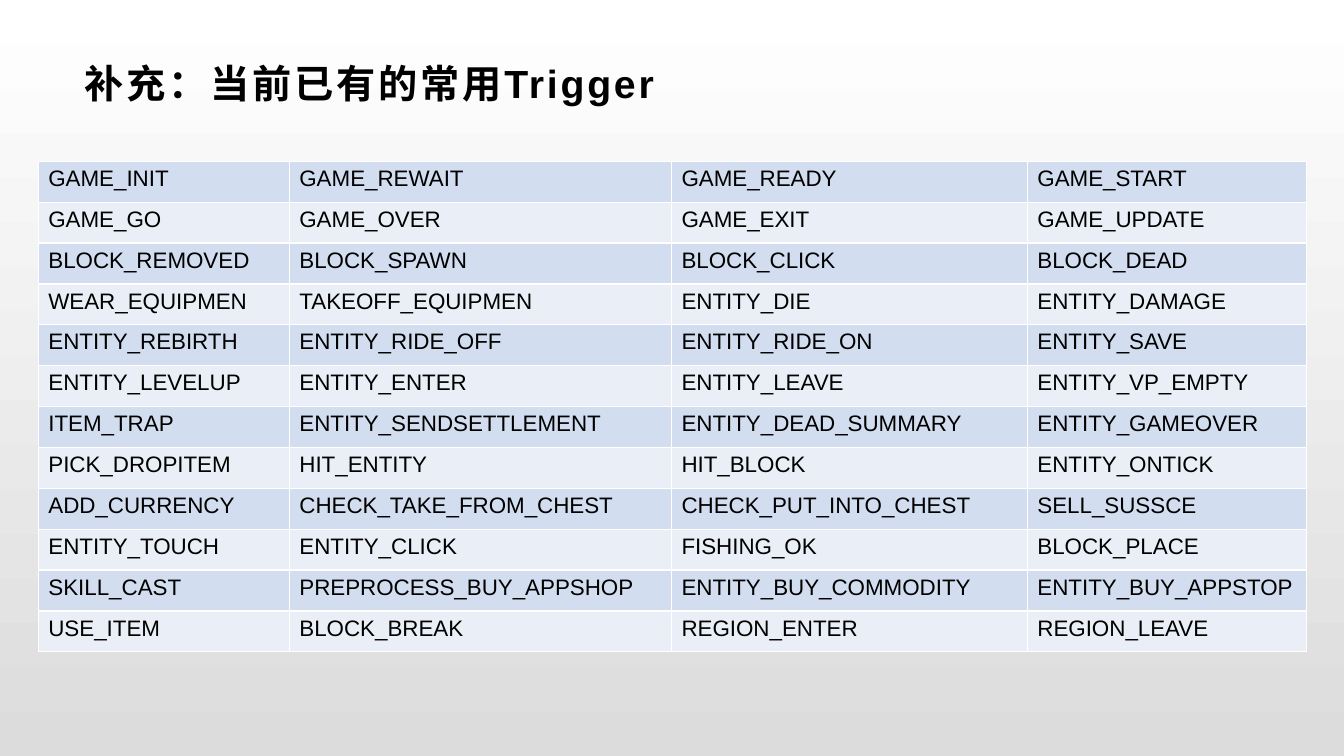
from lxml import etree
from pptx import Presentation
from pptx.dml.color import RGBColor
from pptx.enum.text import MSO_ANCHOR
from pptx.oxml.ns import qn
from pptx.util import Inches, Pt

MIDDLE = MSO_ANCHOR.MIDDLE
FONT = "Arial"
BLACK, WHITE, GREY = "000000", "FFFFFF", "DCDCDC"
BANDS = ("D2DEEF", "EAEFF7")
COL_WIDTHS = (2.49, 3.79, 3.53, 2.77)
TRIGGERS = """
GAME_INIT GAME_REWAIT GAME_READY GAME_START
GAME_GO GAME_OVER GAME_EXIT GAME_UPDATE
BLOCK_REMOVED BLOCK_SPAWN BLOCK_CLICK BLOCK_DEAD
WEAR_EQUIPMEN TAKEOFF_EQUIPMEN ENTITY_DIE ENTITY_DAMAGE
ENTITY_REBIRTH ENTITY_RIDE_OFF ENTITY_RIDE_ON ENTITY_SAVE
ENTITY_LEVELUP ENTITY_ENTER ENTITY_LEAVE ENTITY_VP_EMPTY
ITEM_TRAP ENTITY_SENDSETTLEMENT ENTITY_DEAD_SUMMARY ENTITY_GAMEOVER
PICK_DROPITEM HIT_ENTITY HIT_BLOCK ENTITY_ONTICK
ADD_CURRENCY CHECK_TAKE_FROM_CHEST CHECK_PUT_INTO_CHEST SELL_SUSSCE
ENTITY_TOUCH ENTITY_CLICK FISHING_OK BLOCK_PLACE
SKILL_CAST PREPROCESS_BUY_APPSHOP ENTITY_BUY_COMMODITY ENTITY_BUY_APPSTOP
USE_ITEM BLOCK_BREAK REGION_ENTER REGION_LEAVE
"""


def rgb(color):
    """Turn a hex string into a colour."""
    return RGBColor.from_string(color)


def write(tf, text, size=16, color=BLACK, bold=False, spacing=0):
    """Write one formatted run; spacing is in points between letters."""
    r = tf.paragraphs[0].add_run()
    r.text = text
    r.font.name, r.font.size, r.font.bold = FONT, Pt(size), bold
    r.font.color.rgb = rgb(color)
    if spacing:
        r.font._element.set("spc", str(spacing * 100))


def add_background(slide, top, bottom):
    """Fill the slide with a gradient running downwards."""
    fill = slide.background.fill
    fill.gradient()
    fill.gradient_angle = 270
    for stop, color, position in zip(fill.gradient_stops, (top, bottom), (0, 1)):
        stop.color.rgb = rgb(color)
        stop.position = position


def add_title(slide, text, x, y, w, h):
    """Place the slide title in the given box."""
    tf = slide.shapes.add_textbox(Inches(x), Inches(y), Inches(w), Inches(h)).text_frame
    tf.word_wrap = True
    tf.vertical_anchor = MIDDLE
    tf.margin_left, tf.margin_right = Inches(0.11), Inches(0.08)
    tf.margin_top = tf.margin_bottom = Inches(0.04)
    write(tf, text, size=28, bold=True, spacing=2)


def set_borders(cell, color, width):
    """Draw all four cell edges in one colour; width is in points."""
    props = cell._tc.get_or_add_tcPr()
    for i, edge in enumerate(("a:lnL", "a:lnR", "a:lnT", "a:lnB")):
        ln = etree.Element(qn(edge), w=str(Pt(width)))
        fill = etree.SubElement(ln, qn("a:solidFill"))
        etree.SubElement(fill, qn("a:srgbClr"), val=color)
        props.insert(i, ln)


def add_trigger_table(slide, rows, x, y, w, h):
    """Place the banded table of triggers in the given box."""
    frame = slide.shapes.add_table(len(rows), len(COL_WIDTHS),
                                   Inches(x), Inches(y), Inches(w), Inches(h))
    table = frame.table
    table.first_row = table.horz_banding = False
    for column, share in zip(table.columns, COL_WIDTHS):
        column.width = Inches(w * share / sum(COL_WIDTHS))
    for i, names in enumerate(rows):
        for j, name in enumerate(names):
            cell = table.cell(i, j)
            cell.fill.solid()
            cell.fill.fore_color.rgb = rgb(BANDS[i % 2])
            set_borders(cell, WHITE, 1)
            write(cell.text_frame, name)


def build_trigger_slide(prs):
    """Build the slide that lists the common triggers."""
    slide = prs.slides.add_slide(prs.slide_layouts[6])
    add_background(slide, WHITE, GREY)
    add_title(slide, "补充：当前已有的常用Trigger", 0.73, 0.47, 11.87, 0.71)
    rows = [line.split() for line in TRIGGERS.strip().splitlines()]
    add_trigger_table(slide, rows, 0.38, 1.6, 12.58, 4.87)


prs = Presentation()
prs.slide_width, prs.slide_height = Inches(13.33), Inches(7.5)
build_trigger_slide(prs)
prs.save("out.pptx")
